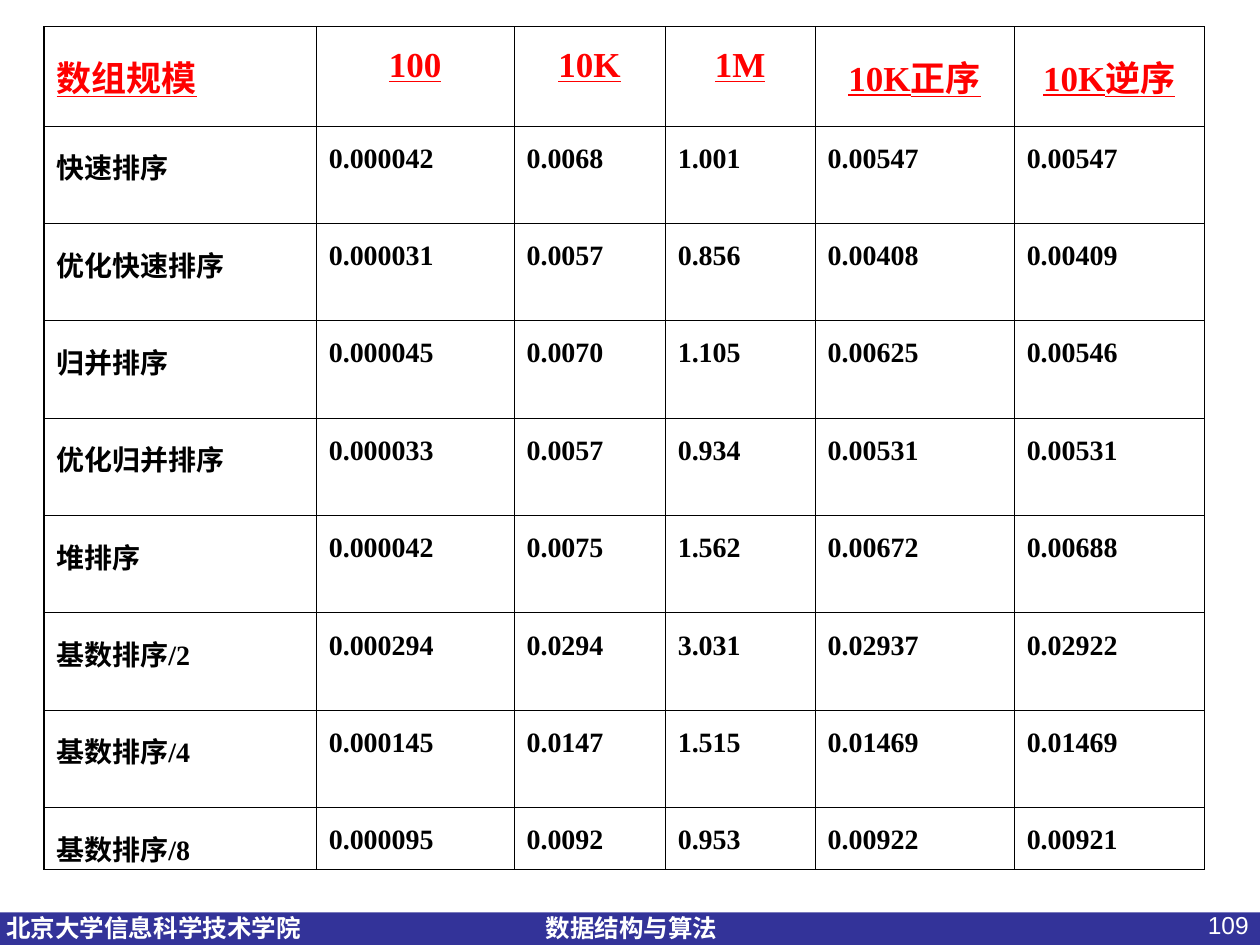
"""Build a slide that tabulates sorting times by array size."""
from dataclasses import dataclass

from lxml import etree
from pptx import Presentation
from pptx.dml.color import RGBColor
from pptx.enum.shapes import MSO_SHAPE
from pptx.enum.text import MSO_ANCHOR, PP_ALIGN
from pptx.oxml.ns import qn
from pptx.util import Inches, Pt

RECT = MSO_SHAPE.RECTANGLE
TOP = MSO_ANCHOR.TOP
LEFT, MID, RIGHT = PP_ALIGN.LEFT, PP_ALIGN.CENTER, PP_ALIGN.RIGHT


@dataclass(frozen=True)
class Theme:
    bar: str = "333399"
    light: str = "FFFFFF"
    head: str = "FF0000"
    ink: str = "000000"
    sans: str = "Arial"
    serif: str = "Times New Roman"
    foot_size: int = 14
    head_size: int = 20
    body_size: int = 16
    thin: float = 0.45
    thick: float = 0.96
    lead: float = 1.35


@dataclass(frozen=True)
class Style:
    font: str
    size: int
    color: str
    bold: bool = True
    under: bool = False


@dataclass(frozen=True)
class Label:
    text: str
    left: float
    top: float
    width: float
    height: float
    style: Style
    align: PP_ALIGN = LEFT
    inset: float = 0
    wrap: bool = False


THEME = Theme()
HEAD = Style(THEME.serif, THEME.head_size, THEME.head, under=True)
BODY = Style(THEME.serif, THEME.body_size, THEME.ink)
FOOT = Style(THEME.sans, THEME.foot_size, THEME.light)
PAGE = Style(THEME.sans, THEME.foot_size, THEME.light, bold=False)

LABELS = (
    Label("北京大学信息科学技术学院", 0.05, 7.2, 2.5, 0.34, FOOT),
    Label("数据结构与算法", 4.33, 7.2, 1.52, 0.34, FOOT),
    Label("109", 7.68, 7.17, 2.33, 0.52, PAGE, RIGHT, 0.1, True),
)
COLS = (2.16, 1.57, 1.2, 1.19, 1.58, 1.51)
HIGH, FIRST, LAST = 6.69, 0.79, 0.49
TIMES = (
    ("数组规模", "100", "10K", "1M", "10K正序", "10K逆序"),
    ("快速排序", "0.000042", "0.0068", "1.001", "0.00547", "0.00547"),
    ("优化快速排序", "0.000031", "0.0057", "0.856", "0.00408", "0.00409"),
    ("归并排序", "0.000045", "0.0070", "1.105", "0.00625", "0.00546"),
    ("优化归并排序", "0.000033", "0.0057", "0.934", "0.00531", "0.00531"),
    ("堆排序", "0.000042", "0.0075", "1.562", "0.00672", "0.00688"),
    ("基数排序/2", "0.000294", "0.0294", "3.031", "0.02937", "0.02922"),
    ("基数排序/4", "0.000145", "0.0147", "1.515", "0.01469", "0.01469"),
    ("基数排序/8", "0.000095", "0.0092", "0.953", "0.00922", "0.00921"),
)


def write(para, text: str, style: Style, align: PP_ALIGN) -> None:
    """Add one styled run to a paragraph."""
    para.alignment = align
    run = para.add_run()
    run.text = text
    font = run.font
    font.name, font.size = style.font, Pt(style.size)
    font.bold, font.underline = style.bold, style.under
    font.color.rgb = RGBColor.from_string(style.color)


def draw_bar(slide) -> None:
    """Draw the footer band."""
    bar = slide.shapes.add_shape(RECT, 0, Inches(7.24), Inches(10), Inches(0.28))
    bar.shadow.inherit = False
    bar.fill.solid()
    bar.fill.fore_color.rgb = RGBColor.from_string(THEME.bar)
    bar.line.fill.background()


def draw_label(slide, label: Label) -> None:
    """Draw one footer text."""
    box = slide.shapes.add_textbox(
        Inches(label.left), Inches(label.top), Inches(label.width), Inches(label.height)
    )
    frame = box.text_frame
    frame.word_wrap = label.wrap
    frame.margin_left = Inches(label.inset)
    write(frame.paragraphs[0], label.text, label.style, label.align)


def rule_cell(cell, widths: dict[str, float]) -> None:
    """Set the border lines of a cell, keyed by side."""
    props = cell._tc.get_or_add_tcPr()
    for index, (side, width) in enumerate(widths.items()):
        line = etree.Element(qn(f"a:ln{side}"), w=str(Pt(width)))
        fill = etree.SubElement(line, qn("a:solidFill"))
        etree.SubElement(fill, qn("a:srgbClr"), val=THEME.ink)
        props.insert(index, line)


def draw_table(slide) -> None:
    """Draw the table of times with a heavier outer edge."""
    rows, cols = len(TIMES), len(COLS)
    table = slide.shapes.add_table(
        rows, cols, Inches(0.35), Inches(0.21), Inches(sum(COLS)), Inches(HIGH)
    ).table
    table.first_row = table.horz_banding = False
    for col, width in zip(table.columns, COLS):
        col.width = Inches(width)
    inner = (HIGH - FIRST - LAST) / (rows - 2)
    for row, height in zip(table.rows, (FIRST, *[inner] * (rows - 2), LAST)):
        row.height = Inches(height)
    for r, line in enumerate(TIMES):
        for c, text in enumerate(line):
            cell = table.cell(r, c)
            cell.fill.background()
            cell.vertical_anchor = TOP
            para = cell.text_frame.paragraphs[0]
            para.line_spacing = THEME.lead
            write(para, text, BODY if r else HEAD, LEFT if r or not c else MID)
            edges = {"L": c == 0, "R": c == cols - 1, "T": False, "B": r == rows - 1}
            rule_cell(
                cell, {k: THEME.thick if v else THEME.thin for k, v in edges.items()}
            )


def main() -> None:
    """Build and save the slide."""
    deck = Presentation()
    deck.slide_width, deck.slide_height = Inches(10), Inches(7.5)
    slide = deck.slides.add_slide(deck.slide_layouts[6])
    draw_bar(slide)
    for label in LABELS:
        draw_label(slide, label)
    draw_table(slide)
    deck.save("out.pptx")


if __name__ == "__main__":
    main()
